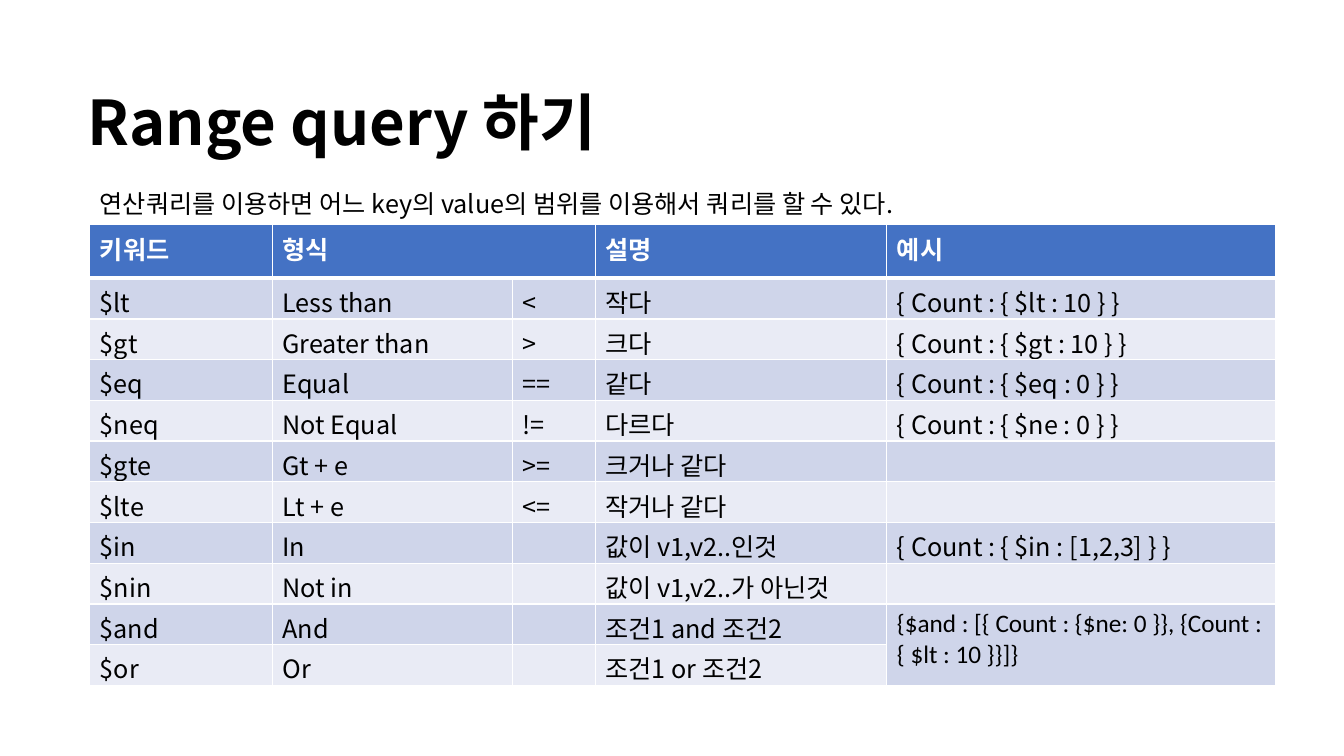
from lxml.etree import SubElement
from pptx import Presentation
from pptx.dml.color import RGBColor
from pptx.enum.text import MSO_ANCHOR
from pptx.oxml.ns import qn
from pptx.util import Inches, Pt

COLORS = {"text": "000000", "white": "FFFFFF", "header": "4472C4",
          "odd": "CFD5EA", "even": "E9EBF5"}
FONT = "Noto Sans CJK KR"
COLUMNS = [1.81, 2.38, 0.82, 2.89, 3.85]
HEADER_HEIGHT = 0.53
ROWS = [
    ("키워드", "형식", "", "설명", "예시"),
    ("$lt", "Less than", "<", "작다", "{ Count : { $lt : 10 } }"),
    ("$gt", "Greater than", ">", "크다", "{ Count : { $gt : 10 } }"),
    ("$eq", "Equal", "==", "같다", "{ Count : { $eq : 0 } }"),
    ("$neq", "Not Equal", "!=", "다르다", "{ Count : { $ne : 0 } }"),
    ("$gte", "Gt + e", ">=", "크거나 같다", ""),
    ("$lte", "Lt + e", "<=", "작거나 같다", ""),
    ("$in", "In", "", "값이 v1,v2..인것", "{ Count : { $in : [1,2,3] } }"),
    ("$nin", "Not in", "", "값이 v1,v2..가 아닌것", ""),
    ("$and", "And", "", "조건1 and 조건2",
     "{$and : [{ Count : {$ne: 0 }},\u00a0{Count : { $lt : 10 }}]}"),
    ("$or", "Or", "", "조건1 or 조건2", ""),
]


def rgb(name):
    return RGBColor.from_string(COLORS[name])


def write(tf, text, size=18, color="text", bold=False, font=FONT):
    tf.text = text
    p = tf.paragraphs[0]
    for r in p.runs:
        r.font.name = font
        r.font.size = Pt(size)
        r.font.bold = bold
        r.font.color.rgb = rgb(color)
        SubElement(r._r.rPr, qn("a:ea")).set("typeface", font)
    return p


def set_borders(cell, bottom):
    """Draw white borders, 1 pt except for the bottom one."""
    tc_pr = cell._tc.get_or_add_tcPr()
    widths = {"a:lnL": 1, "a:lnR": 1, "a:lnT": 1, "a:lnB": bottom}
    for i, (tag, width) in enumerate(widths.items()):
        ln = tc_pr.makeelement(qn(tag), {"w": str(Pt(width))})
        fill = SubElement(ln, qn("a:solidFill"))
        SubElement(fill, qn("a:srgbClr")).set("val", COLORS["white"])
        tc_pr.insert(i, ln)


def add_title(s, left, top, width, height):
    title = s.shapes.title
    title.left, title.top = Inches(left), Inches(top)
    title.width, title.height = Inches(width), Inches(height)
    tf = title.text_frame
    tf.word_wrap = True
    tf.vertical_anchor = MSO_ANCHOR.MIDDLE
    p = write(tf, "Range query 하기", 44, bold=True)
    p.line_spacing = 0.9
    p.alignment = 1


def add_summary(s, left, top, width, height):
    box = s.shapes.add_textbox(Inches(left), Inches(top), Inches(width), Inches(height))
    box.text_frame.word_wrap = True
    write(box.text_frame, "연산쿼리를 이용하면 어느 key의 value의 범위를 이용해서 쿼리를 할 수 있다.")


def add_operator_table(s, left, top, width, height):
    frame = s.shapes.add_table(len(ROWS), len(COLUMNS), Inches(left), Inches(top),
                               Inches(width), Inches(height))
    table = frame.table
    for column, share in zip(table.columns, COLUMNS):
        column.width = Inches(width * share / sum(COLUMNS))
    body_height = (height - HEADER_HEIGHT) / (len(ROWS) - 1)
    for i, values in enumerate(ROWS):
        header = i == 0
        table.rows[i].height = Inches(HEADER_HEIGHT if header else body_height)
        fill = "header" if header else "odd" if i % 2 else "even"
        for j, value in enumerate(values):
            cell = table.cell(i, j)
            cell.fill.solid()
            cell.fill.fore_color.rgb = rgb(fill)
            set_borders(cell, 3 if header else 1)
            if not header:
                cell.margin_bottom = 0
            write(cell.text_frame, value, color="white" if header else "text",
                  bold=header, font="Calibri" if value.startswith("{$and") else FONT)
    table.cell(0, 1).merge(table.cell(0, 2))
    table.cell(9, 4).merge(table.cell(10, 4))


def main():
    prs = Presentation()
    prs.slide_width, prs.slide_height = Inches(13.33), Inches(7.5)
    s = prs.slides.add_slide(prs.slide_layouts[5])
    add_title(s, 0.77, 0.52, 11.5, 1.45)
    add_summary(s, 0.89, 1.82, 9.39, 0.4)
    add_operator_table(s, 0.89, 2.23, 11.76, 4.57)
    prs.save("out.pptx")


if __name__ == "__main__":
    main()
